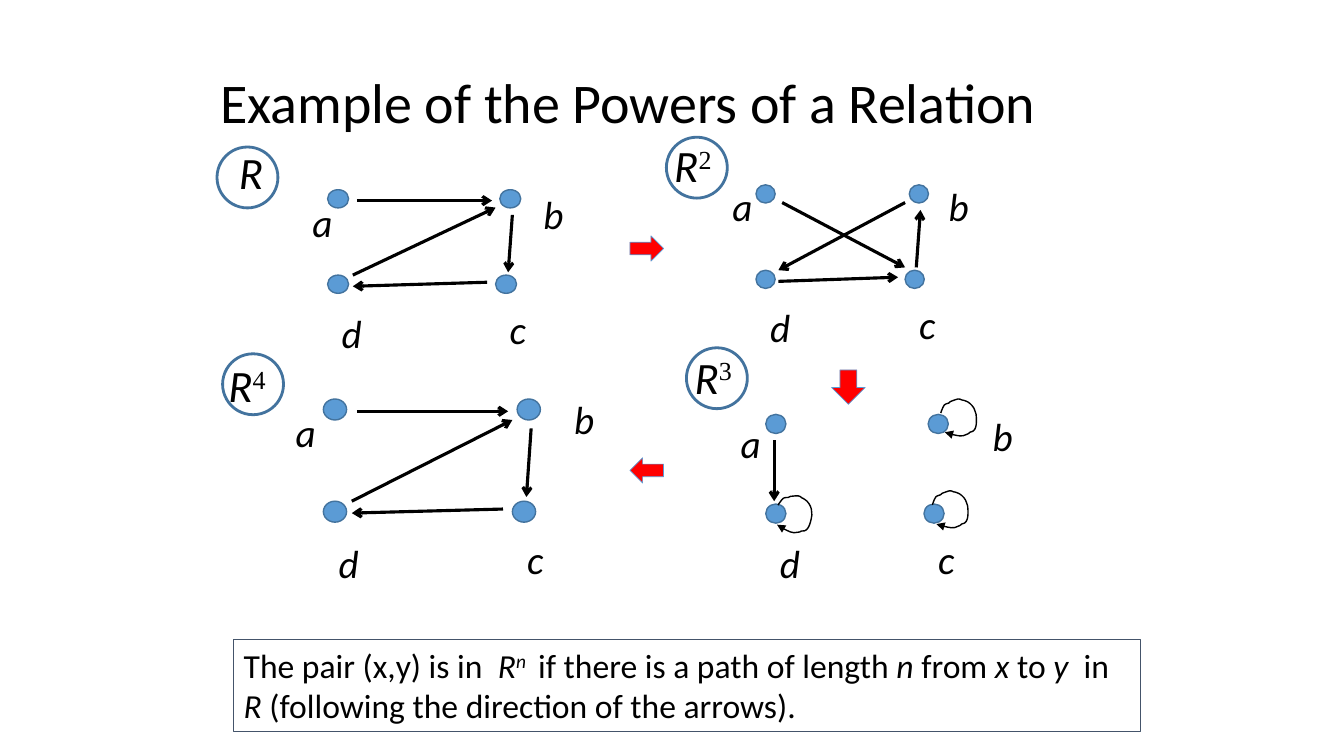
from lxml import etree
from pptx import Presentation
from pptx.dml.color import RGBColor
from pptx.enum.shapes import MSO_CONNECTOR, MSO_SHAPE
from pptx.enum.text import MSO_ANCHOR, PP_ALIGN
from pptx.oxml.ns import qn
from pptx.util import Pt

OVAL, ARROW, DOWN = MSO_SHAPE.OVAL, MSO_SHAPE.RIGHT_ARROW, MSO_SHAPE.DOWN_ARROW
LINE = MSO_CONNECTOR.STRAIGHT
LEFT, TOP, MIDDLE = PP_ALIGN.LEFT, MSO_ANCHOR.TOP, MSO_ANCHOR.MIDDLE
BLACK = RGBColor(0x00, 0x00, 0x00)
BLUE = RGBColor(0x5B, 0x9B, 0xD5)
EDGE = RGBColor(0x43, 0x73, 0x9E)
SLATE = RGBColor(0x44, 0x54, 0x6A)
RED = RGBColor(0xFF, 0x00, 0x00)

deck = Presentation()
deck.slide_width, deck.slide_height = Pt(960), Pt(540)
slide = deck.slides.add_slide(deck.slide_layouts[5])
shapes = slide.shapes


def write(*runs, box, size, shape=None, anchor=TOP, spacing=None, raised="Calibri"):
    """Write (words, style) runs; style holds i for italic, s for superscript."""
    if shape is None:
        shape = shapes.add_textbox(0, 0, 0, 0)
    shape.left, shape.top, shape.width, shape.height = map(Pt, box)
    frame = shape.text_frame
    frame.word_wrap = True
    frame.vertical_anchor = anchor
    para = frame.paragraphs[0]
    para.alignment = LEFT
    if spacing:
        para.line_spacing = spacing
    for words, style in runs:
        run = para.add_run()
        run.text = words
        font = run.font
        font.size, font.italic, font.color.rgb = Pt(size), "i" in style, BLACK
        font.name = raised if "s" in style else "Calibri"
        if "s" in style:
            run._r.get_or_add_rPr().set("baseline", "30000")
    return shape


def paint(shape, line, width, fill=None, tip=None):
    """Set line and fill, drop the shadow, and add an arrowhead."""
    shape.line.color.rgb, shape.line.width = line, Pt(width)
    props = shape._element.spPr
    if tip:
        etree.SubElement(props.find(qn("a:ln")), qn("a:tailEnd"), type=tip)
    if props.find(qn("a:effectLst")) is None:
        etree.SubElement(props, qn("a:effectLst"))
    if fill is not None:
        shape.fill.solid()
        shape.fill.fore_color.rgb = fill
    elif hasattr(shape, "fill"):
        shape.fill.background()


# Title
write(("Example of the Powers of a Relation", ""), shape=shapes.title,
      box=(150, 30, 648, 90), size=40, anchor=MIDDLE, spacing=0.9)

# Four graphs: dots and labels run a, b, c, d; arrows are x1, y1, x2, y2
graphs = [
    dict(power="", tag=(163.5, 100, 30), ring=(155, 105), dot=(15, 13),
         dots=[(234, 135.5), (357, 135.5), (354, 196.5), (234, 196.5)],
         names=[(216, 138), (381, 132.5), (357, 214.5), (237, 217.5)],
         arrows=[(255, 143.3, 351.5, 143.3), (252, 196.5, 354, 148.3),
                 (366, 153.5, 363, 194.5), (348, 201.6, 252, 204.5)]),
    dict(power="2", tag=(474.5, 95, 52), ring=(476, 98), dot=(13.7, 13),
         dots=[(540, 132), (649.5, 132), (646.5, 193), (540, 193)],
         names=[(516, 126.7), (670.5, 126.7), (649.5, 211), (543, 213)],
         arrows=[(646.5, 144.7, 556, 193), (654.5, 191, 657.5, 150),
                 (556, 201, 641.5, 198), (558.7, 144.7, 646.5, 191)]),
    dict(power="3", tag=(489, 246, 59), ring=(490.3, 248.4), dot=(14.4, 13.7),
         dots=[(547, 296), (663, 296), (660, 360), (547, 360)],
         names=[(522, 296), (702, 291), (663, 378.7), (550, 381.6)],
         arrows=[(553, 314.6, 553, 358)]),
    dict(power="4", tag=(156, 252, 80.6), ring=(159, 252.7), dot=(16.6, 15),
         dots=[(231, 285), (369.4, 285), (366, 358), (231, 358)],
         names=[(204, 288), (403, 278.6), (369.4, 378.7), (234.7, 381.6)],
         arrows=[(255, 293.8, 363, 293.8), (251.3, 358, 366, 300),
                 (379.4, 306, 376, 355), (359.3, 363.6, 251.3, 366.5)]),
]
for graph in graphs:
    for name, dot, spot in zip("abcd", graph["dots"], graph["names"]):
        paint(shapes.add_shape(OVAL, *map(Pt, dot + graph["dot"])), EDGE, 1, BLUE)
        write((name, "i"), box=spot + (15, 41), size=28)
    for ends in graph["arrows"]:
        paint(shapes.add_connector(LINE, *map(Pt, ends)), BLACK, 2.25, tip="arrow")
    runs = [("R", "i")]
    if graph["power"]:
        runs.append((graph["power"], "s"))
    write(*runs, box=graph["tag"] + (46,), size=32, raised="Times New Roman")
    paint(shapes.add_shape(OVAL, *map(Pt, graph["ring"] + (43.5, 43.5))), EDGE, 2)

# Red arrows from graph to graph
for kind, box, turn in [(ARROW, (450, 168.5, 24, 18), 0),
                        (DOWN, (594, 264.3, 24, 24.5), 0),
                        (ARROW, (450, 327, 24, 18), 180)]:
    step = shapes.add_shape(kind, *map(Pt, box))
    step.rotation = turn
    paint(step, BLUE, 0.5, RED)

# Self loops of b, c and d: three points to each curve, in 1/100 inch
curve = [(1, 11), (3, 5), (5, 5), (6, 4), (7, 4), (8, 4), (9, 3), (10, 2), (11, 2),
         (13, 1), (17, 0), (17, 0), (18, 0), (20, 0), (21, 1), (23, 1), (27, 3), (27, 3),
         (30, 5), (33, 8), (34, 12), (34, 13), (35, 14), (35, 15),
         (35, 16), (37, 29), (32, 32), (31, 33), (30, 33), (29, 33),
         (28, 34), (27, 35), (26, 35), (21, 38), (16, 36), (10, 35),
         (8, 34), (6, 34), (4, 33)]
for left, top, turn in [(672, 285, 0), (666, 350.6, 0), (554.4, 354, 14.7)]:
    pen = shapes.build_freeform(0, 14, scale=Pt(0.72))
    pen.add_line_segments(curve, close=False)
    loop = pen.convert_to_shape(Pt(left), Pt(top))
    loop.rotation = turn
    legs = list(loop._element.iter(qn("a:lnTo")))
    for first, *rest in zip(legs[::3], legs[1::3], legs[2::3]):
        first.tag = qn("a:cubicBezTo")
        for leg in rest:
            first.append(leg[0])
            leg.getparent().remove(leg)
    paint(loop, BLACK, 1, tip="triangle")

# Rule at the foot
note = write(("The pair (x,y) is in  ", ""), ("R", "i"), ("n ", "is"),
             (" if there is a path of length ", "i"[1:]), ("n", "i"), (" from ", ""),
             ("x", "i"), (" to ", ""), ("y", "i"), ("  in ", ""), ("R ", "i"),
             ("(following the direction of the arrows). ", ""),
             box=(167, 457, 648, 65.5), size=24)
paint(note, SLATE, 0.75)

deck.save("out.pptx")
